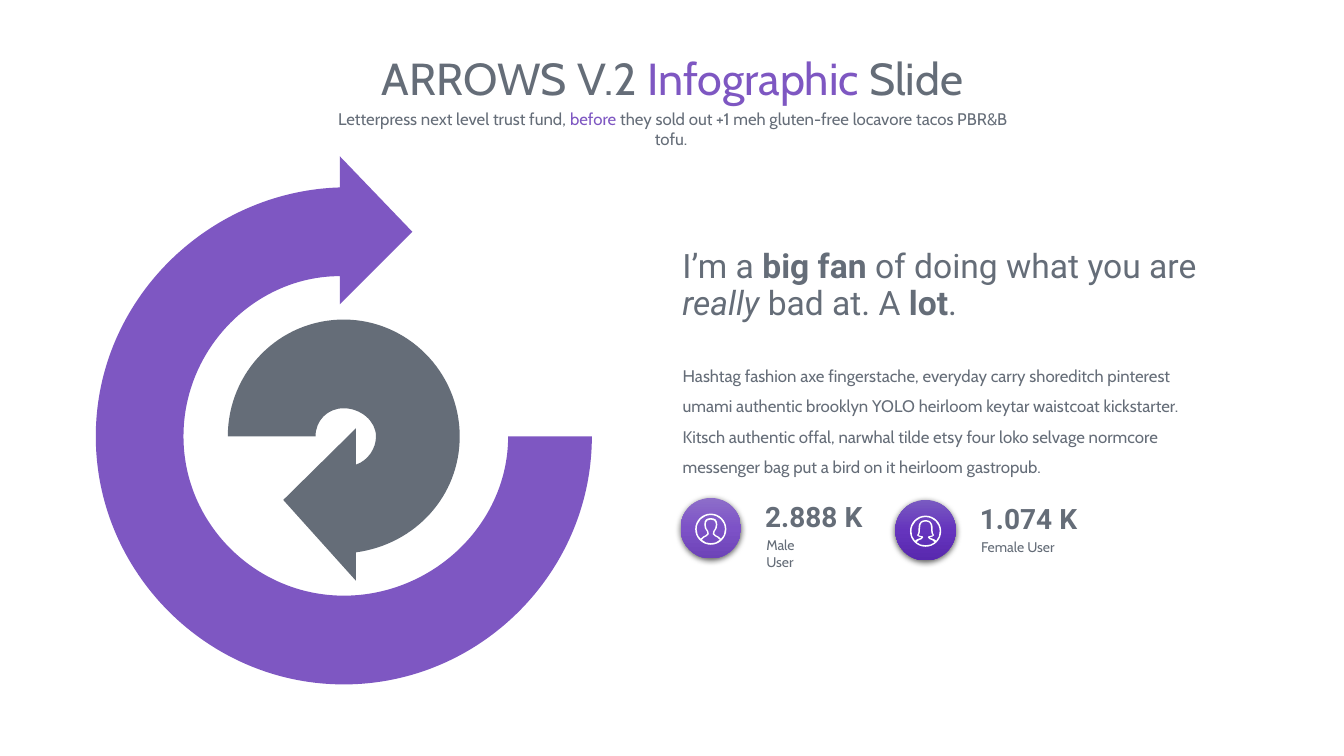
from copy import deepcopy
from dataclasses import dataclass

from lxml.etree import SubElement
from pptx import Presentation
from pptx.dml.color import RGBColor
from pptx.enum.shapes import MSO_SHAPE as Preset
from pptx.enum.text import MSO_ANCHOR as Anchor, MSO_AUTO_SIZE as AutoSize, PP_ALIGN as Align
from pptx.oxml.ns import qn
from pptx.util import Inches, Pt


@dataclass(frozen=True)
class Theme:
    grey: str = "656D78"
    purple: str = "7E57C2"
    white: str = "FFFFFF"
    male: tuple = ("8D6EC9", "7D52C7", "6D43B7")
    female: tuple = ("795AC1", "6534BD", "5828AE")
    body_font: str = "Cabin"
    accent_font: str = "Roboto"
    title: int = 32
    headline: int = 24
    number: int = 20
    body: int = 12
    label: int = 10


THEME = Theme()
UNITS_PER_INCH = 10000
ICON_UNIT = .1

OUTER_ARROW = [
    (1.63, 0), (1.63, .87, .88, 1.58, 0, 1.58), (-.87, 1.58, -1.59, .87, -1.59, 0),
    (-1.59, -.88, -.87, -1.59, -.04, -1.59), (-.04, -1.31), (.68, -2.03),
    (-.04, -2.78), (-.04, -2.47), (-1.35, -2.43, -2.46, -1.35, -2.46, 0),
    (-2.46, 1.35, -1.35, 2.46, 0, 2.46), (1.35, 2.46, 2.46, 1.35, 2.46, 0),
]
INNER_ARROW = [
    (1.15, 0), (1.15, -.64, .63, -1.16, 0, -1.16), (-.64, -1.16, -1.15, -.64, -1.15, 0),
    (-.28, 0), (-.28, -.16, -.16, -.28, 0, -.28), (.16, -.28, .32, -.16, .32, 0),
    (.32, .12, .24, .24, .12, .28), (.12, -.08), (-.6, .63), (.12, 1.43),
    (.12, 1.15), (.71, 1.07, 1.15, .59, 1.15, 0),
]
RING_HALF = [
    (0, -1.55), (-.86, -1.55, -1.55, -.86, -1.55, 0), (-1.55, .86, -.86, 1.55, 0, 1.55),
]
BACKDROP_END = [(-1.3, .7, -1.4, .35, -1.4, 0), (-1.4, -.78, -.78, -1.4, 0, -1.4)]
BUST_END = [(-.65, 1.3, -.35, 1.4, 0, 1.4)]
MALE_HALVES = [
    [(0, -1.1), (-.4, -1.1, -.65, -.95, -.65, -.45), (-.65, -.1, -.55, 0, -.4, .2),
     (-.3, .4, -.3, .5, -.5, .6), (-.7, .7, -.85, .75, -1, .95)] + BACKDROP_END,
    [(0, -.95), (-.2, -.95, -.5, -.9, -.5, -.45), (-.5, -.15, -.4, 0, -.25, .2),
     (-.1, .4, -.2, .6, -.4, .7), (-.6, .8, -.75, .85, -.9, 1.05)] + BUST_END,
    RING_HALF,
]
FEMALE_HALVES = [
    [(0, -1.1), (-.3, -1.1, -.7, -1, -.7, -.3), (-.7, .2, -.75, .3, -.85, .4),
     (-.8, .5, -.6, .6, -.4, .6), (-.4, .7, -.9, .75, -1.05, .95)] + BACKDROP_END,
    [(0, -.95), (-.3, -.95, -.55, -.9, -.55, -.25), (-.55, .15, -.6, .3, -.7, .4),
     (-.55, .45, -.4, .5, -.3, .5), (-.2, .55, -.2, .7, -.4, .8),
     (-.6, .85, -.75, .9, -.9, 1.1)] + BUST_END,
    RING_HALF,
]


def color(value):
    return RGBColor.from_string(value)


def place(shape, left, top, width, height):
    shape.left, shape.top = Inches(left), Inches(top)
    shape.width, shape.height = Inches(width), Inches(height)


def write_text(shape, text, font=THEME.body_font, size=THEME.body, align=Align.LEFT,
               line_spacing=1.0, inset=None, bold=False):
    frame = shape.text_frame
    frame.word_wrap = True
    frame.auto_size = AutoSize.SHAPE_TO_FIT_TEXT
    frame.vertical_anchor = Anchor.TOP
    if inset is not None:
        frame.margin_left = frame.margin_right = Inches(inset)
        frame.margin_top = frame.margin_bottom = Inches(inset)
    paragraph = frame.paragraphs[0]
    paragraph.alignment = align
    paragraph.line_spacing = line_spacing
    paragraph.space_before = Pt(0)
    for content, style in [(text, {})] if isinstance(text, str) else text:
        run = paragraph.add_run()
        run.text = content
        run.font.name = font
        run.font.size = Pt(size)
        run.font.bold = style.get("bold", bold)
        run.font.italic = style.get("italic", False)
        run.font.color.rgb = color(style.get("color", THEME.grey))


def add_text(slide, box, text, **style):
    shape = slide.shapes.add_textbox(*map(Inches, box))
    write_text(shape, text, **style)


def curve_points(segments):
    points = [segments[0]]
    for segment in segments[1:]:
        numbers = segment * 3 if len(segment) == 2 else segment
        points += zip(numbers[::2], numbers[1::2])
    return points


def mirrored(half):
    left_side = curve_points(half)
    return left_side + [(-x, y) for x, y in reversed(left_side[:-1])]


def add_curves(slide, center, contours, fill, unit=1):
    scaled = [[tuple((start + offset * unit) * UNITS_PER_INCH
                     for start, offset in zip(center, point)) for point in contour]
              for contour in contours]
    builder = slide.shapes.build_freeform(*scaled[0][0], scale=Inches(1) / UNITS_PER_INCH)
    for index, contour in enumerate(scaled):
        if index:
            builder.move_to(*contour[0])
        builder.add_line_segments(contour[1:], close=True)
    shape = builder.convert_to_shape()
    outline = shape._element.spPr.find(".//" + qn("a:path"))
    lines = iter(outline.findall(qn("a:lnTo")))
    for curve, second, third in zip(lines, lines, lines):
        curve.tag = qn("a:cubicBezTo")
        curve.extend([*second, *third])
        outline.remove(second)
        outline.remove(third)
    shape.shadow.inherit = False
    shape.fill.solid()
    shape.fill.fore_color.rgb = color(fill)
    shape.line.fill.background()


def apply_gradient(shape, colors):
    shape.fill.gradient()
    shape.fill.gradient_angle = 270
    stops = shape._element.spPr.find(".//" + qn("a:gsLst"))
    stops.append(deepcopy(stops[0]))
    for index, (stop, value) in enumerate(zip(shape.fill.gradient_stops, colors)):
        stop.color.rgb = color(value)
        stop.position = index / 2


def apply_shadow(shape):
    shape.shadow.inherit = False
    effects = shape._element.spPr.find(qn("a:effectLst"))
    shadow = SubElement(effects, qn("a:outerShdw"), blurRad=str(Pt(4.5)), dist=str(Pt(1.5)),
                        dir="5400000", algn="t", rotWithShape="0")
    black = SubElement(shadow, qn("a:srgbClr"), val="000000")
    SubElement(black, qn("a:alpha"), val="63000")


def add_heading(slide, left, top, width):
    title = slide.shapes.title
    place(title, left, top, width, .64)
    write_text(title, [("ARROWS V.2 ", {}), ("Infographic ", {"color": THEME.purple}),
                       ("Slide", {})], size=THEME.title, align=Align.CENTER)
    add_text(slide, (left + .66, top + .58, 6.95, .3), [
        ("Letterpress next level trust fund, ", {}), ("before", {"color": THEME.purple}),
        (" they sold out +1 meh gluten-free locavore tacos PBR&B tofu. ", {}),
    ], align=Align.CENTER)


def add_arrows(slide, left, top):
    center = (left + 2.46, top + 2.78)
    for segments, fill in ((OUTER_ARROW, THEME.purple), (INNER_ARROW, THEME.grey)):
        add_curves(slide, center, [curve_points(segments)], fill)


def add_message(slide, left, top, width):
    bold = {"bold": True}
    add_text(slide, (left, top, width, .83), [
        ("I’m a ", {}), ("big fan ", bold), ("of doing what you are ", {}),
        ("really", {"italic": True}), (" bad at. A ", {}), ("lot", bold), (".", {}),
    ], font=THEME.accent_font, size=THEME.headline, line_spacing=.9)
    body = slide.placeholders[1]
    place(body, left, top + 1.05, width - .14, 1.31)
    properties = body.text_frame.paragraphs[0]._p.get_or_add_pPr()
    properties.set("marL", "0")
    properties.set("indent", "0")
    SubElement(properties, qn("a:buNone"))
    write_text(body, "Hashtag fashion axe fingerstache, everyday carry shoreditch pinterest "
               "umami authentic brooklyn YOLO heirloom keytar waistcoat kickstarter. Kitsch "
               "authentic offal, narwhal tilde etsy four loko selvage normcore messenger bag "
               "put a bird on it heirloom gastropub.", line_spacing=1.5)


def add_user_count(slide, left, top, number, label, label_width, colors, halves):
    badge = slide.shapes.add_shape(Preset.OVAL, *map(Inches, (left, top, .6, .6)))
    apply_gradient(badge, colors)
    badge.line.fill.background()
    apply_shadow(badge)
    add_text(slide, (left + .74, top - .03, 1.19, .44), number,
             font=THEME.accent_font, size=THEME.number, bold=True)
    add_text(slide, (left + .85, top + .38, label_width, .17), label,
             size=THEME.label, inset=0)
    add_curves(slide, (left + .3, top + .31), map(mirrored, halves), THEME.white, ICON_UNIT)


def main():
    presentation = Presentation()
    presentation.slide_width, presentation.slide_height = Inches(13.33), Inches(7.5)
    slide = presentation.slides.add_slide(presentation.slide_layouts[1])
    add_heading(slide, 2.54, .45, 8.26)
    add_arrows(slide, .95, 1.55)
    add_message(slide, 6.67, 2.43, 5.46)
    add_user_count(slide, 6.75, 4.94, "2.888 K", "Male User", .55, THEME.male, MALE_HALVES)
    add_user_count(slide, 8.88, 4.96, "1.074 K", "Female User", .75, THEME.female, FEMALE_HALVES)
    presentation.save("out.pptx")


if __name__ == "__main__":
    main()
